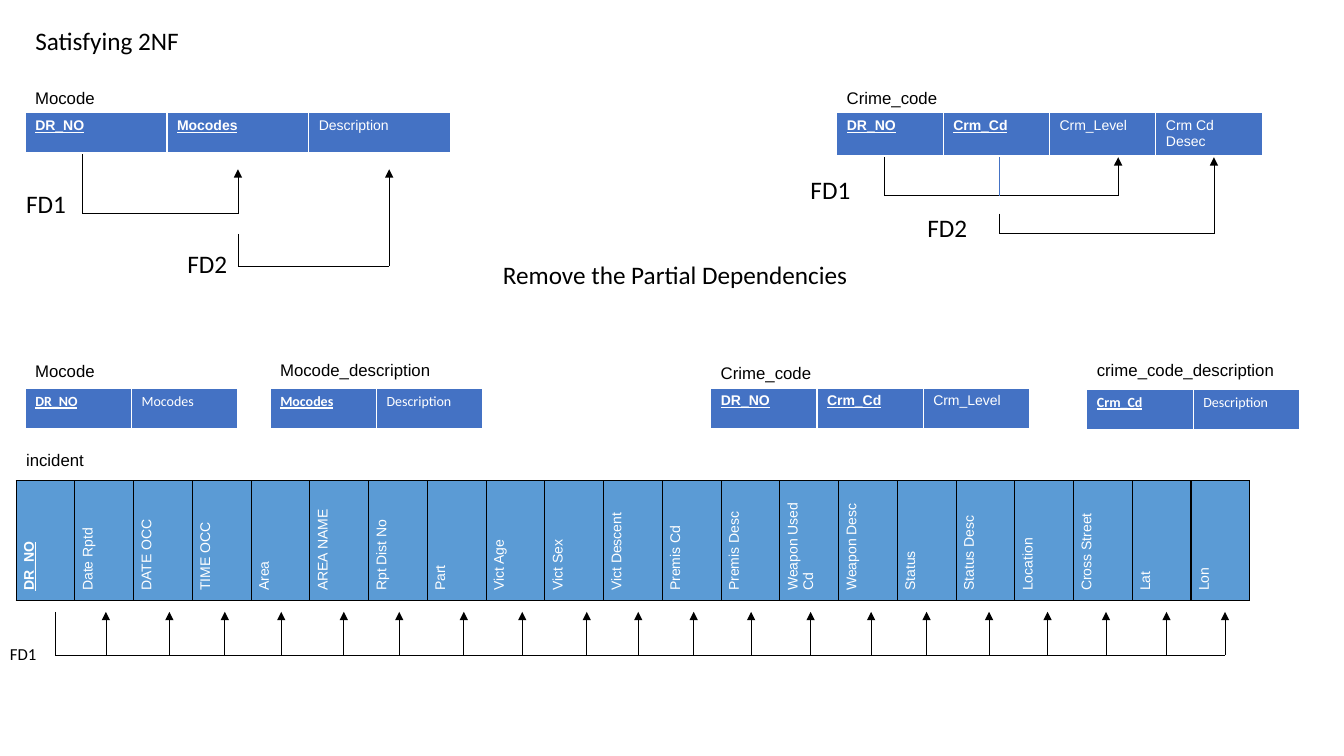
from lxml import etree
from pptx import Presentation
from pptx.dml.color import RGBColor
from pptx.enum.shapes import MSO_CONNECTOR
from pptx.enum.text import MSO_ANCHOR, MSO_AUTO_SIZE, PP_ALIGN
from pptx.oxml.ns import qn
from pptx.util import Emu, Pt

STRAIGHT = MSO_CONNECTOR.STRAIGHT
TOP, MIDDLE = MSO_ANCHOR.TOP, MSO_ANCHOR.MIDDLE
GROW = MSO_AUTO_SIZE.SHAPE_TO_FIT_TEXT
LEFT = PP_ALIGN.LEFT

PX = 9144  # 100 px to the inch
BLACK, WHITE, BLUE, LIGHT_BLUE = "000000", "FFFFFF", "4472C4", "5B9BD5"
WHITE_EDGES = [("L", WHITE, 1), ("R", WHITE, 1), ("T", WHITE, 1), ("B", WHITE, 3)]
BLACK_EDGES = [(side, BLACK, 1) for side in "LRTB"]

INCIDENT_FIELDS = [
    "DR_NO", "Date Rptd", "DATE OCC", "TIME OCC", "Area", "AREA NAME",
    "Rpt Dist No", "Part", "Vict Age", "Vict Sex", "Vict Descent",
    "Premis Cd", "Premis Desc", "Weapon Used Cd", "Weapon Desc", "Status",
    "Status Desc", "Location", "Cross Street", "Lat", "Lon"]
# Arrow positions, measured from the left edge of the incident table
INCIDENT_TARGETS = [89, 152, 207, 263, 325, 380, 444, 502, 566, 617, 672,
                    729, 788, 848, 903, 965, 1023, 1081, 1141, 1199]


def px(length):
    return Emu(length * PX)


def rgb(code):
    return RGBColor.from_string(code)


def style_text(frame, size, font, color, bold=False, underline=False):
    for paragraph in frame.paragraphs:
        paragraph.alignment = LEFT
        for run in paragraph.runs:
            run.font.size = Pt(size)
            run.font.name = font
            run.font.color.rgb = rgb(color)
            run.font.bold = bold
            run.font.underline = underline


def write_label(label, box, text, size, font):
    label.left, label.top, label.width, label.height = map(px, box)
    frame = label.text_frame
    frame.text = text
    frame.word_wrap = False
    frame.auto_size = GROW
    frame.vertical_anchor = TOP
    style_text(frame, size, font, BLACK)


def add_label(slide, box, text, size=18, font="Calibri"):
    label = slide.shapes.add_textbox(0, 0, 0, 0)
    write_label(label, box, text, size, font)


def add_line(slide, start, end, color=BLACK, arrow=False):
    line = slide.shapes.add_connector(STRAIGHT, *map(px, start + end))
    line.line.color.rgb = rgb(color)
    line.line.width = Pt(0.5)
    properties = line._element.spPr
    if arrow:
        outline = properties.find(qn("a:ln"))
        etree.SubElement(outline, qn("a:tailEnd"), type="triangle")
    etree.SubElement(properties, qn("a:effectLst"))


def add_edges(cell, edges):
    properties = cell._tc.get_or_add_tcPr()
    for place, (side, color, width) in enumerate(edges):
        edge = etree.Element(qn("a:ln" + side), w=str(Pt(width)))
        fill = etree.SubElement(edge, qn("a:solidFill"))
        etree.SubElement(fill, qn("a:srgbClr"), val=color)
        properties.insert(place, edge)


def add_relation(slide, box, name, name_box, fields, keys=1, font="Arial",
                 fill=BLUE, edges=WHITE_EDGES, upright=False):
    """One-row table with its name; name_box is (rise, width) above the table."""
    left, top, width, height = box
    rise, name_width = name_box
    add_label(slide, (left, top - rise, name_width, 30), name, 12, "Arial")

    table = slide.shapes.add_table(1, len(fields), *map(px, box)).table
    table.first_row = table.horz_banding = False
    for index, field in enumerate(fields):
        table.columns[index].width = px(width) // len(fields)
        cell = table.cell(0, index)
        cell.text_frame.text = field
        is_key = index < keys
        style_text(cell.text_frame, 10, font, WHITE, is_key, is_key)
        cell.fill.solid()
        cell.fill.fore_color.rgb = rgb(fill)
        add_edges(cell, edges)
        if upright:
            cell.vertical_anchor = MIDDLE
            cell._tc.get_or_add_tcPr().set("vert", "vert270")


def add_dependency(slide, box, name, name_box, source, drop, targets, tip, size=18):
    """Bracket from source to targets, all measured from the table's corner."""
    left, top = box[:2]
    start, base = (top + y for y in drop)
    x, y, width, height = name_box
    add_label(slide, (left + x, top + y, width, height), name, size)
    add_line(slide, (left + source, start), (left + source, base))
    add_line(slide, (left + source, base), (left + targets[-1], base))
    for target in targets:
        add_line(slide, (left + target, base), (left + target, top + tip), arrow=True)


def add_mocode(slide, box):
    add_relation(slide, box, "Mocode", (30, 80), ["DR_NO", "Mocodes", "Description"], 2)
    add_dependency(slide, box, "FD1", (-9, 70, 60, 40), 57, (41, 100), [211], 56)
    add_dependency(slide, box, "FD2", (151, 129, 60, 40), 211, (120, 152), [361], 56)


def add_crime_code(slide, box):
    left, top = box[:2]
    add_relation(slide, box, "Crime_code", (30, 110),
                 ["DR_NO", "Crm_Cd", "Crm_Level", "Crm Cd Desec"], 2)
    add_dependency(slide, box, "FD1", (-36, 56, 60, 40), 47, (44, 82), [279], 44)
    add_line(slide, (left + 161, top + 82), (left + 161, top + 44), BLUE)
    add_dependency(slide, box, "FD2", (80, 94, 60, 40), 161, (100, 120), [374], 44)


def add_split_relations(slide, left, top):
    add_relation(slide, (left, top, 211, 41), "Mocode", (32, 80),
                 ["DR_NO", "Mocodes"], font="Calibri")
    add_relation(slide, (left + 243, top, 211, 41), "Mocode_description", (33, 170),
                 ["Mocodes", "Description"], font="Calibri")
    add_relation(slide, (left + 680, top, 316, 41), "Crime_code", (30, 110),
                 ["DR_NO", "Crm_Cd", "Crm_Level"], 2)
    add_relation(slide, (left + 1053, top + 1, 211, 41), "crime_code_description",
                 (34, 197), ["Crm_Cd", "Description"], font="Calibri")


def add_incident(slide, box):
    add_relation(slide, box, "incident", (36, 78), INCIDENT_FIELDS,
                 fill=LIGHT_BLUE, edges=BLACK_EDGES, upright=True)
    add_dependency(slide, box, "FD1", (-16, 157, 47, 30), 39, (130, 173),
                   INCIDENT_TARGETS, 130, size=12)


def main():
    deck = Presentation()
    deck.slide_width, deck.slide_height = px(1333), px(750)
    slide = deck.slides.add_slide(deck.slide_layouts[5])

    # Heading and the step between the two stages
    write_label(slide.shapes.title, (25, 20, 164, 40), "Satisfying 2NF", 18, "Calibri")
    add_label(slide, (489, 252, 366, 40), "Remove the Partial Dependencies")

    # Relations with partial dependencies
    add_mocode(slide, (25, 112, 422, 41))
    add_crime_code(slide, (830, 112, 422, 41))

    # Relations after the split
    add_split_relations(slide, 25, 385)
    add_incident(slide, (16, 477, 1224, 115))

    deck.save("out.pptx")


if __name__ == "__main__":
    main()
